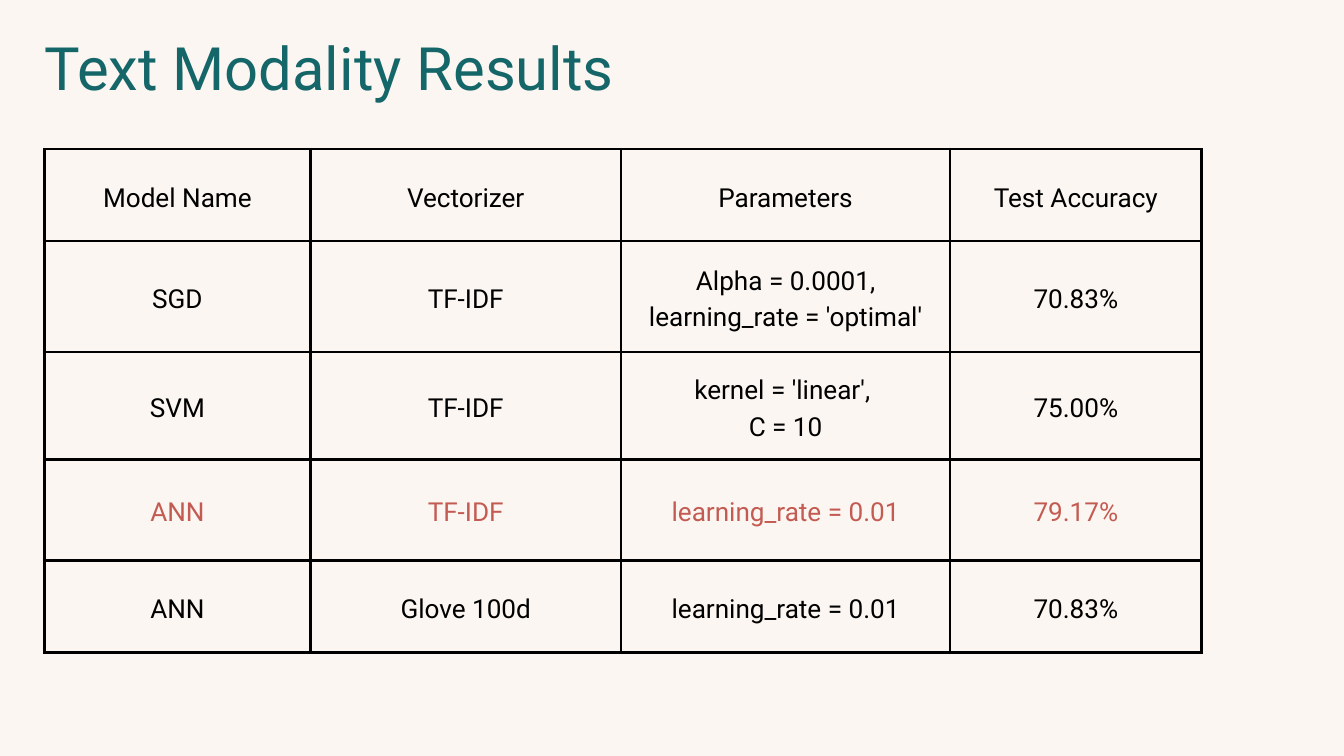
from lxml import etree
from pptx import Presentation
from pptx.dml.color import RGBColor
from pptx.enum.text import MSO_ANCHOR, MSO_AUTO_SIZE, PP_ALIGN
from pptx.oxml.ns import qn
from pptx.util import Inches, Pt

LEFT, CENTER = PP_ALIGN.LEFT, PP_ALIGN.CENTER
TOP, MIDDLE = MSO_ANCHOR.TOP, MSO_ANCHOR.MIDDLE
NO_FIT = MSO_AUTO_SIZE.NONE
FONT = "Roboto"
COLORS = {"bg": "FBF6F1", "title": "156669", "text": "000000",
          "best": "C45B52", "border": "000000"}


def format_paragraph(p, size, color, align):
    p.alignment = align
    p.line_spacing = Pt(size * 1.4)
    p.font.name = FONT
    p.font.size = Pt(size)
    p.font.bold = False
    p.font.color.rgb = RGBColor.from_string(COLORS[color])


def add_borders(cell, width):
    tcPr = cell._tc.get_or_add_tcPr()
    for side in ("lnL", "lnR", "lnT", "lnB"):
        ln = etree.SubElement(tcPr, qn(f"a:{side}"), w=str(Pt(width)))
        fill = etree.SubElement(ln, qn("a:solidFill"))
        etree.SubElement(fill, qn("a:srgbClr"), val=COLORS["border"])


prs = Presentation()
prs.slide_width, prs.slide_height = Inches(20), Inches(11.25)
s = prs.slides.add_slide(prs.slide_layouts[5])
s.background.fill.solid()
s.background.fill.fore_color.rgb = RGBColor.from_string(COLORS["bg"])

# Title
title = s.shapes.title
title.left, title.top = Inches(0.66), Inches(0.28)
title.width, title.height = Inches(16.02), Inches(1.21)
tf = title.text_frame
tf.text = "Text Modality Results"
tf.word_wrap = True
tf.auto_size = NO_FIT
tf.vertical_anchor = TOP
tf.margin_left = tf.margin_right = tf.margin_top = tf.margin_bottom = 0
format_paragraph(tf.paragraphs[0], 64, "title", LEFT)

# Results table
rows = [
    ("Model Name", "Vectorizer", "Parameters", "Test Accuracy"),
    ("SGD", "TF-IDF", "Alpha = 0.0001,\nlearning_rate = 'optimal'", "70.83%"),
    ("SVM", "TF-IDF", "kernel = 'linear', \nC = 10", "75.00%"),
    ("ANN", "TF-IDF", "learning_rate = 0.01", "79.17%"),
    ("ANN", "Glove 100d", "learning_rate = 0.01", "70.83%"),
]
col_widths = [3.96, 4.62, 4.9, 3.74]
row_heights = [1.37, 1.65, 1.6, 1.5, 1.37]
best_row = 3

table = s.shapes.add_table(
    len(rows), len(col_widths), Inches(0.66), Inches(2.22),
    Inches(sum(col_widths)), Inches(sum(row_heights))).table
table.first_row = table.horz_banding = False
for column, width in zip(table.columns, col_widths):
    column.width = Inches(width)
for row, height in zip(table.rows, row_heights):
    row.height = Inches(height)

for i, values in enumerate(rows):
    for j, value in enumerate(values):
        cell = table.cell(i, j)
        cell.text = value
        cell.vertical_anchor = MIDDLE
        cell.margin_left = cell.margin_right = Inches(0.21)
        cell.margin_top = cell.margin_bottom = Inches(0.21)
        add_borders(cell, 3)
        cell.fill.background()
        for p in cell.text_frame.paragraphs:
            format_paragraph(p, 28, "best" if i == best_row else "text", CENTER)

prs.save("out.pptx")
